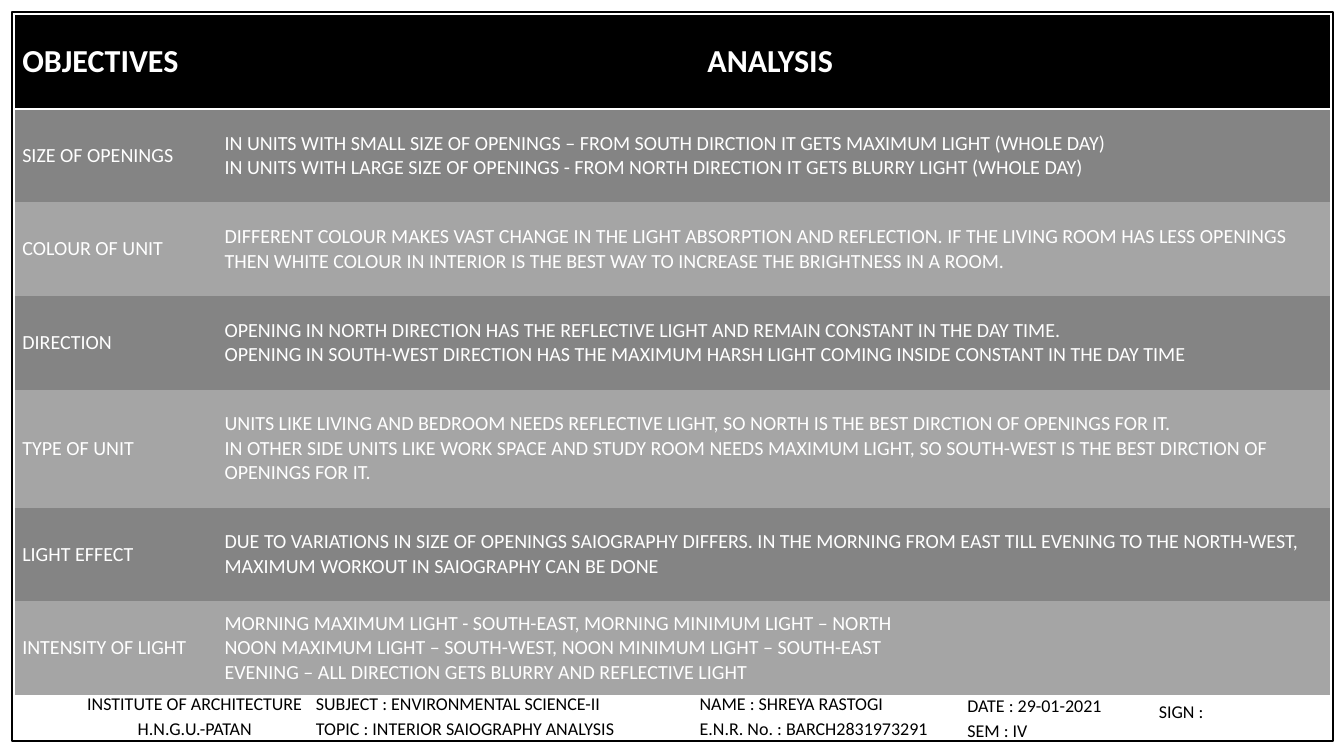
from dataclasses import dataclass

from lxml import etree
from pptx import Presentation
from pptx.dml.color import RGBColor
from pptx.enum.shapes import MSO_SHAPE
from pptx.enum.text import MSO_ANCHOR, PP_ALIGN
from pptx.oxml.ns import qn
from pptx.util import Inches, Pt

RECT = MSO_SHAPE.RECTANGLE
MIDDLE = MSO_ANCHOR.MIDDLE
LEFT, CENTER = PP_ALIGN.LEFT, PP_ALIGN.CENTER
COLORS = {"black": "000000", "white": "FFFFFF", "dark": "848484", "light": "A5A5A5"}
NO_STYLE = "{2D5ABB26-0587-4C30-8999-92F81FD0307C}"
FOOTER_SPACING = {"line_spacing": 0.5, "space_before": Pt(14)}


@dataclass
class Row:
    objective: str
    analysis: list[str]
    height: float = 1.3


@dataclass
class FooterBox:
    left: float
    top: float
    width: float
    lines: list[str]
    align: PP_ALIGN = LEFT


ROWS = [
    Row("SIZE OF OPENINGS", [
        "IN UNITS WITH SMALL SIZE OF OPENINGS – FROM SOUTH DIRCTION IT GETS MAXIMUM LIGHT (WHOLE DAY)",
        "IN UNITS WITH LARGE SIZE OF OPENINGS - FROM NORTH DIRECTION IT GETS BLURRY LIGHT (WHOLE DAY)"]),
    Row("COLOUR OF UNIT", [
        "DIFFERENT COLOUR MAKES VAST CHANGE IN THE LIGHT ABSORPTION AND REFLECTION. "
        "IF THE LIVING ROOM HAS LESS OPENINGS THEN WHITE COLOUR IN INTERIOR IS THE BEST WAY "
        "TO INCREASE THE BRIGHTNESS IN A ROOM."]),
    Row("DIRECTION", [
        "OPENING IN NORTH DIRECTION HAS THE REFLECTIVE LIGHT AND REMAIN CONSTANT IN THE DAY TIME.",
        "OPENING IN SOUTH-WEST DIRECTION HAS THE MAXIMUM HARSH LIGHT COMING INSIDE CONSTANT IN THE DAY TIME"]),
    Row("TYPE OF UNIT", [
        "UNITS LIKE LIVING AND BEDROOM NEEDS REFLECTIVE LIGHT, SO NORTH IS THE BEST DIRCTION OF OPENINGS FOR IT.",
        "IN OTHER SIDE UNITS LIKE WORK SPACE AND STUDY ROOM NEEDS MAXIMUM LIGHT, "
        "SO SOUTH-WEST IS THE BEST DIRCTION OF OPENINGS FOR IT."], 1.64),
    Row("LIGHT EFFECT", [
        "DUE TO VARIATIONS IN SIZE OF OPENINGS SAIOGRAPHY DIFFERS. IN THE MORNING FROM EAST "
        "TILL EVENING TO THE NORTH-WEST, MAXIMUM WORKOUT IN SAIOGRAPHY CAN BE DONE"]),
    Row("INTENSITY OF LIGHT", [
        "MORNING MAXIMUM LIGHT - SOUTH-EAST, MORNING MINIMUM LIGHT – NORTH",
        "NOON MAXIMUM LIGHT – SOUTH-WEST, NOON MINIMUM LIGHT – SOUTH-EAST",
        "EVENING – ALL DIRECTION GETS BLURRY AND REFLECTIVE LIGHT"]),
]

FOOTER = [
    FooterBox(0.97, 9.71, 3.47, ["INSTITUTE OF ARCHITECTURE", "H.N.G.U.-PATAN"], CENTER),
    FooterBox(4.29, 9.71, 5.29, ["SUBJECT : ENVIRONMENTAL SCIENCE-II", "TOPIC : INTERIOR SAIOGRAPHY ANALYSIS"]),
    FooterBox(9.62, 9.71, 3.77, ["NAME : SHREYA RASTOGI", "E.N.R. No. : BARCH2831973291"]),
    FooterBox(13.34, 9.73, 3.77, ["DATE : 29-01-2021", "SEM : IV"]),
    FooterBox(16, 9.65, 2.31, ["SIGN :"]),
]


def write_lines(tf, lines: list[str], size: int, color: str, bold: bool = False,
                align: PP_ALIGN = LEFT, spacing: dict | None = None) -> None:
    font_format = {"name": "Calibri", "size": Pt(size), "bold": bold}
    for i, line in enumerate(lines):
        p = tf.add_paragraph() if i else tf.paragraphs[0]
        for name, value in {"alignment": align, **(spacing or {})}.items():
            setattr(p, name, value)
        r = p.add_run()
        r.text = line
        for name, value in font_format.items():
            setattr(r.font, name, value)
        r.font.color.rgb = RGBColor.from_string(COLORS[color])


def fill_cell(cell, lines: list[str], size: int, fill: str, bold: bool = False,
              align: PP_ALIGN = LEFT) -> None:
    cell.vertical_anchor = MIDDLE
    cell.fill.solid()
    cell.fill.fore_color.rgb = RGBColor.from_string(COLORS[fill])
    write_lines(cell.text_frame, lines, size, "white", bold, align)


def add_bottom_border(cell, color: str, width: float) -> None:
    ln = etree.Element(qn("a:lnB"), w=str(Pt(width)))
    solid = etree.SubElement(ln, qn("a:solidFill"))
    etree.SubElement(solid, qn("a:srgbClr"), val=COLORS[color])
    cell._tc.get_or_add_tcPr().insert(0, ln)


def add_frame(slide) -> None:
    sp = slide.shapes.add_shape(RECT, Inches(0.17), Inches(0.17), Inches(18.35), Inches(10.12))
    sp.shadow.inherit = False
    sp.fill.background()
    sp.line.color.rgb = RGBColor.from_string(COLORS["black"])
    sp.line.width = Pt(2.25)


def add_footer_box(slide, box: FooterBox) -> None:
    sp = slide.shapes.add_textbox(Inches(box.left), Inches(box.top), Inches(box.width), Inches(0.58))
    tf = sp.text_frame
    tf.word_wrap = True
    tf.vertical_anchor = MIDDLE
    write_lines(tf, box.lines, 18, "black", align=box.align, spacing=FOOTER_SPACING)


def add_analysis_table(slide) -> None:
    heights = [1.3] + [row.height for row in ROWS]
    frame = slide.shapes.add_table(len(heights), 2, Inches(0.21), Inches(0.21),
                                   Inches(18.27), Inches(sum(heights)))
    table = frame.table
    table.first_row = table.horz_banding = False
    table._tbl.tblPr.find(qn("a:tableStyleId")).text = NO_STYLE
    for column, width in zip(table.columns, (2.81, 15.46)):
        column.width = Inches(width)
    for table_row, height in zip(table.rows, heights):
        table_row.height = Inches(height)

    # Header row
    for col, (title, align) in enumerate([("OBJECTIVES", LEFT), ("ANALYSIS ", CENTER)]):
        cell = table.cell(0, col)
        fill_cell(cell, [title], 32, "black", True, align)
        add_bottom_border(cell, "white", 2)

    # Banded body rows
    for i, row in enumerate(ROWS, start=1):
        fill = "dark" if i % 2 else "light"
        fill_cell(table.cell(i, 0), [row.objective], 20, fill)
        fill_cell(table.cell(i, 1), row.analysis, 20, fill)


def main() -> None:
    prs = Presentation()
    prs.slide_width, prs.slide_height = Inches(18.67), Inches(10.5)
    slide = prs.slides.add_slide(prs.slide_layouts[6])
    add_frame(slide)
    for box in FOOTER:
        add_footer_box(slide, box)
    add_analysis_table(slide)
    prs.save("out.pptx")


if __name__ == "__main__":
    main()
